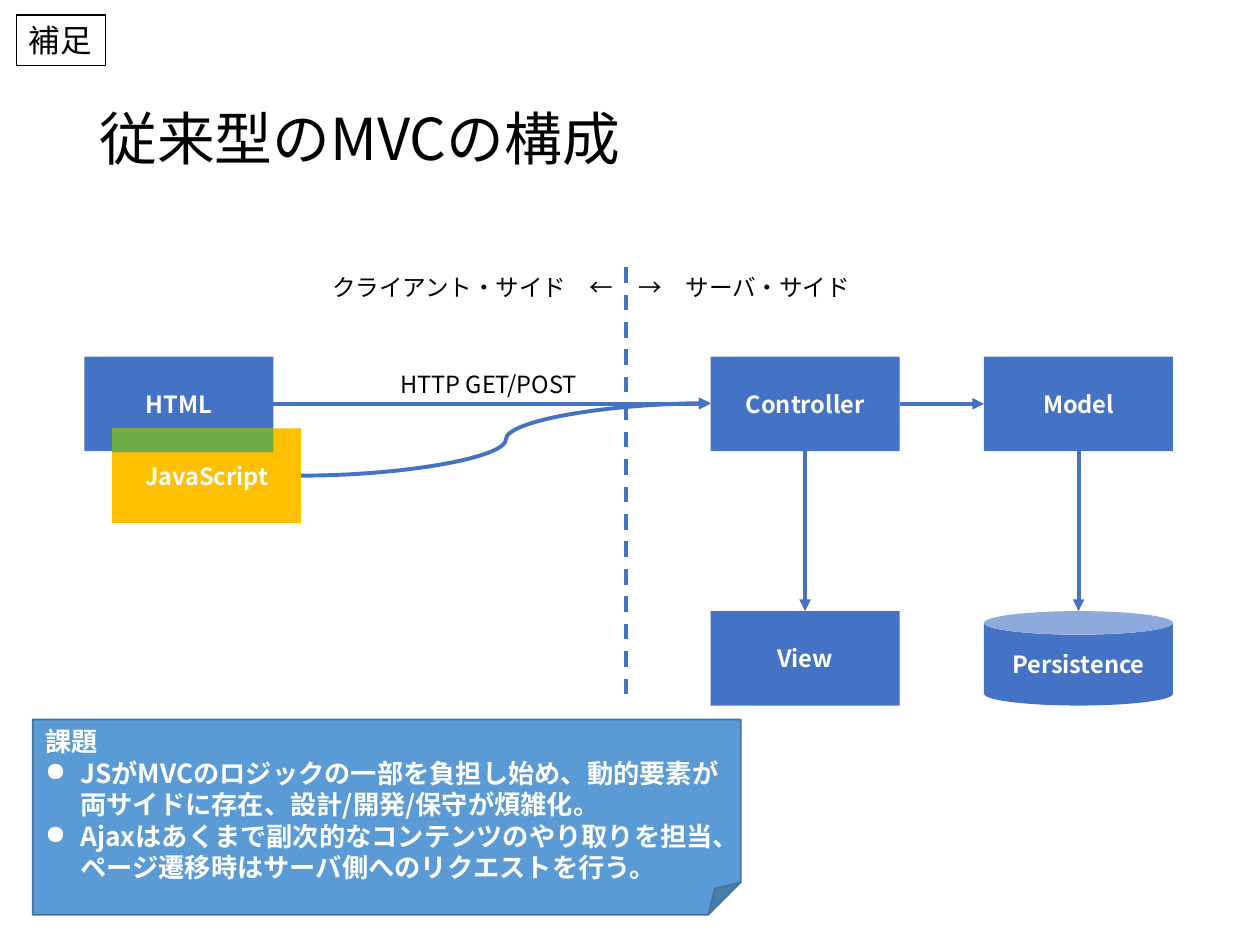
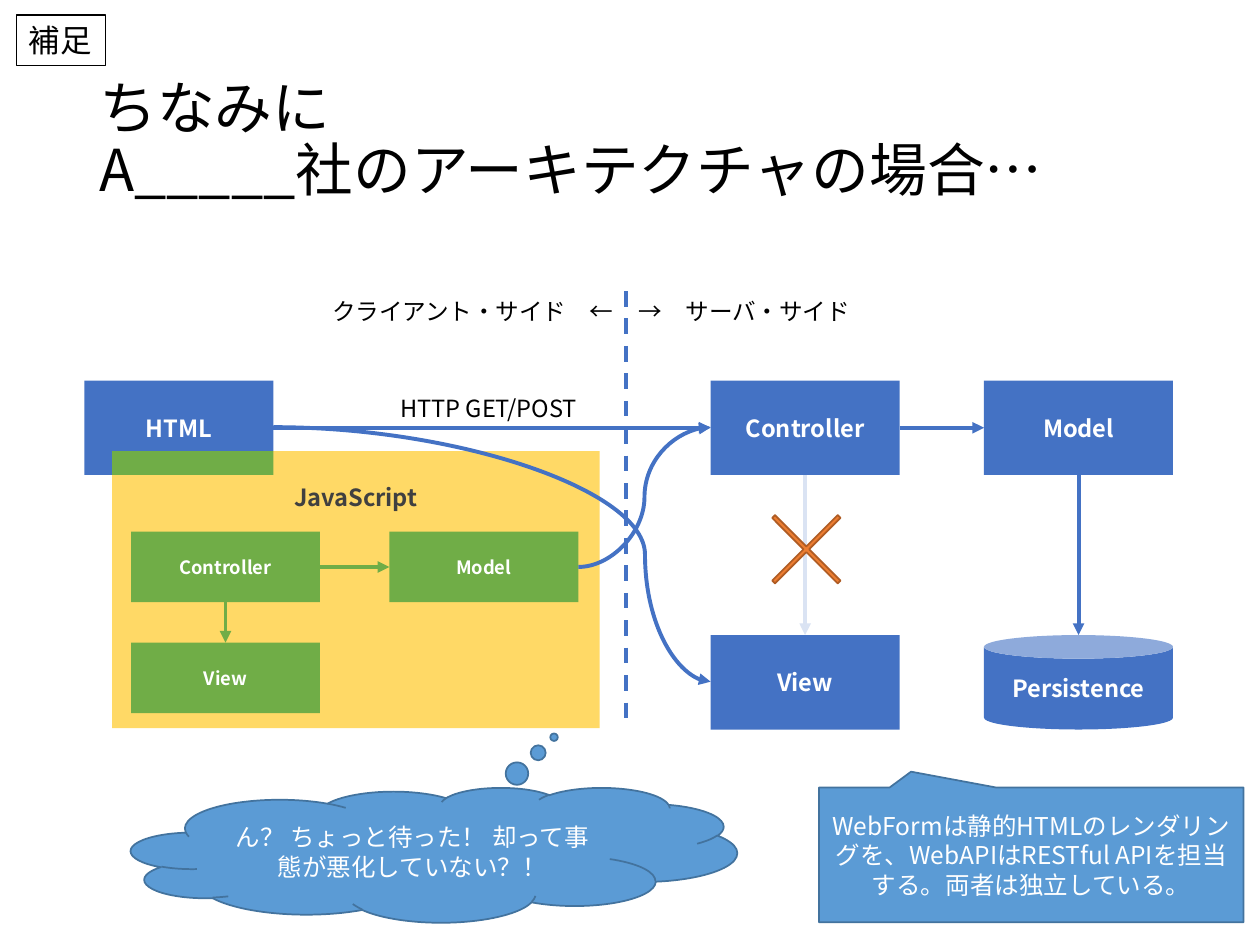
"""Build two slides comparing the classic MVC layout with a client-heavy variant."""
from lxml import etree
from pptx import Presentation
from pptx import util as u
from pptx.dml.color import RGBColor
from pptx.enum import dml, shapes, text
from pptx.oxml.ns import qn

FONT = "Noto Sans CJK JP"
BLACK, WHITE, GREY = "000000", "FFFFFF", "404040"
BLUE, PALE_BLUE, GREEN = "4472C4", "DAE3F3", "70AD47"
AMBER, PALE_AMBER, ORANGE, RUST = "FFC000", "FFD966", "ED7D31", "AF5C24"
NOTE, NOTE_EDGE = "5B9BD5", "43739E"
RECT = shapes.MSO_SHAPE.RECTANGLE
CENTER, LEFT = text.PP_ALIGN.CENTER, text.PP_ALIGN.LEFT
MIDDLE, TOP = text.MSO_ANCHOR.MIDDLE, text.MSO_ANCHOR.TOP

HTML_X, SCRIPT_X, CONTROLLER_X, MODEL_X = 0.67, 0.89, 5.64, 7.81
BOX_W, BOX_H = 1.5, 0.75
OVERLAP_W, OVERLAP_H = HTML_X + BOX_W - SCRIPT_X, 0.19
DIVIDER_X, DIVIDER_H = 4.97, 3.48
UPPER_ROW, LOWER_ROW = 0.71, 2.73


def add_box(slide, place, content="", kind=RECT, fill=None, edge=None, edge_width=1,
            size=13.5, color=WHITE, bold=True, align=CENTER, anchor=MIDDLE,
            wrap=True, bullets=False, adjust=()):
    place = [u.Inches(length) for length in place]
    if kind is None:
        shape = slide.shapes.add_textbox(*place)
    else:
        shape = slide.shapes.add_shape(kind, *place)
        shape.shadow.inherit = False
        if fill:
            shape.fill.solid()
            shape.fill.fore_color.rgb = RGBColor.from_string(fill)
        else:
            shape.fill.background()
        if edge:
            shape.line.color.rgb = RGBColor.from_string(edge)
            shape.line.width = u.Pt(edge_width)
        else:
            shape.line.fill.background()
    for index, value in enumerate(adjust):
        shape.adjustments[index] = value
    if not content:
        return shape
    frame = shape.text_frame
    frame.text = content
    frame.word_wrap = wrap
    frame.vertical_anchor = anchor
    for index, paragraph in enumerate(frame.paragraphs):
        paragraph.alignment = align
        properties = paragraph._p.get_or_add_pPr()
        if bullets and index:
            properties.set("marL", str(u.Inches(0.28)))
            properties.set("indent", str(u.Inches(-0.28)))
            etree.SubElement(properties, qn("a:buChar"), char="●")
        font = paragraph.font
        font.size, font.bold, font.name = u.Pt(size), bold, FONT
        font.color.rgb = RGBColor.from_string(color)
        etree.SubElement(properties.find(qn("a:defRPr")), qn("a:ea"), typeface=FONT)
    return shape


def add_line(slide, start, end, color=BLUE, arrow=True, bend=0.5):
    curved = min(abs(end[0] - start[0]), abs(end[1] - start[1])) > 0.1
    kind = shapes.MSO_CONNECTOR.CURVE if curved else shapes.MSO_CONNECTOR.STRAIGHT
    line = slide.shapes.add_connector(kind, *[u.Inches(length) for length in start + end])
    line.line.color.rgb = RGBColor.from_string(color)
    line.line.width = u.Pt(2.25)
    properties = line._element.spPr
    if curved:
        guides = properties.find(qn("a:prstGeom")).get_or_add_avLst()
        etree.SubElement(guides, qn("a:gd"), name="adj1", fmla=f"val {round(bend * 100000)}")
    if arrow:
        etree.SubElement(line.line._get_or_add_ln(), qn("a:tailEnd"), type="triangle")
    else:
        line.line.dash_style = dml.MSO_LINE.DASH
    etree.SubElement(properties, qn("a:effectLst"))


presentation = Presentation()
presentation.slide_width, presentation.slide_height = u.Inches(10), u.Inches(7.5)

slides = []
for title, top, view_arrow in (
    ("従来型のMVCの構成", 2.12, BLUE),
    ("ちなみに\vA_____社のアーキテクチャの場合…", 2.31, PALE_BLUE),
):
    slide = presentation.slides.add_slide(presentation.slide_layouts[6])
    slides.append(slide)
    upper, lower = top + UPPER_ROW, top + LOWER_ROW
    middle = upper + BOX_H / 2
    heading = add_box(slide, (0.69, 0.4, 8.62, 1.45), title, None, size=33,
                      color=BLACK, bold=False, align=LEFT)
    heading.text_frame.paragraphs[0].line_spacing = 0.9
    add_box(slide, (0.13, 0.12, 0.71, 0.4), "補足", edge=BLACK, edge_width=0.75, size=18,
            color=BLACK, bold=False, align=LEFT, anchor=TOP, wrap=False)
    add_line(slide, (DIVIDER_X, top), (DIVIDER_X, top + DIVIDER_H), arrow=False)
    for label, left, label_top, width in (
        ("→　サーバ・サイド", DIVIDER_X, top, 1.91),
        ("クライアント・サイド　←", 2.54, top, 2.47),
        ("HTTP GET/POST", 3.08, top + 0.77, 1.73),
    ):
        add_box(slide, (left, label_top, width, 0.33), label, None, color=BLACK,
                bold=False, align=LEFT, anchor=TOP, wrap=False)
    for label, left, row, kind in (
        ("HTML", HTML_X, upper, RECT),
        ("Controller", CONTROLLER_X, upper, RECT),
        ("Model", MODEL_X, upper, RECT),
        ("View", CONTROLLER_X, lower, RECT),
        ("Persistence", MODEL_X, lower, shapes.MSO_SHAPE.CAN),
    ):
        add_box(slide, (left, row, BOX_W, BOX_H), label, kind, BLUE)
    add_line(slide, (HTML_X + BOX_W, middle), (CONTROLLER_X, middle))
    add_line(slide, (CONTROLLER_X + BOX_W, middle), (MODEL_X, middle))
    for left, color in ((CONTROLLER_X, view_arrow), (MODEL_X, BLUE)):
        center = left + BOX_W / 2
        add_line(slide, (center, upper + BOX_H), (center, lower), color)

classic, variant = slides

script_top = 3.4
add_box(classic, (SCRIPT_X, script_top, BOX_W, BOX_H), "JavaScript", fill=AMBER)
add_box(classic, (SCRIPT_X, script_top, OVERLAP_W, OVERLAP_H), fill=GREEN)
add_line(classic, (SCRIPT_X + BOX_W, script_top + BOX_H / 2), (CONTROLLER_X, 3.2))
add_box(classic, (0.26, 5.71, 5.62, 1.55),
        "課題\n"
        "JSがMVCのロジックの一部を負担し始め、動的要素が両サイドに存在、設計/開発/保守が煩雑化。\n"
        "Ajaxはあくまで副次的なコンテンツのやり取りを担当、ページ遷移時はサーバ側へのリクエストを行う。",
        shapes.MSO_SHAPE.FOLDED_CORNER, NOTE, NOTE_EDGE, size=15, align=LEFT,
        anchor=TOP, bullets=True)

script_top = 3.58
add_box(variant, (5.9, 3.86, 1, 1), kind=shapes.MSO_SHAPE.MATH_MULTIPLY,
        fill=ORANGE, edge=RUST, adjust=(0.032,))
panel = add_box(variant, (SCRIPT_X, script_top, 3.87, 2.2), "JavaScript",
                fill=PALE_AMBER, color=GREY, anchor=TOP)
panel.text_frame.margin_top = u.Inches(0.25)
add_box(variant, (SCRIPT_X, script_top, OVERLAP_W, OVERLAP_H), fill=GREEN)

inner_x, inner_model_x, inner_top, inner_h, inner_view_top = 1.04, 3.09, 4.22, 0.56, 5.1
inner_middle = inner_top + inner_h / 2
for label, left, row in (
    ("Controller", inner_x, inner_top),
    ("Model", inner_model_x, inner_top),
    ("View", inner_x, inner_view_top),
):
    add_box(variant, (left, row, BOX_W, inner_h), label, fill=GREEN, size=10.5)
inner_center = inner_x + BOX_W / 2
add_line(variant, (inner_x + BOX_W, inner_middle), (inner_model_x, inner_middle), GREEN)
add_line(variant, (inner_center, inner_top + inner_h), (inner_center, inner_view_top), GREEN)
add_line(variant, (inner_model_x + BOX_W, inner_middle), (CONTROLLER_X, 3.39))
add_line(variant, (HTML_X + BOX_W, 3.39), (CONTROLLER_X, 5.41), bend=0.85)

for remark, left, width, kind, adjust in (
    ("ん？ ちょっと待った！ 却って事態が悪化していない？！", 1.04, 4.81,
     shapes.MSO_SHAPE.CLOUD_CALLOUT, (0.198, -0.873)),
    ("WebFormは静的HTMLのレンダリングを、WebAPIはRESTful APIを担当する。両者は独立している。",
     6.5, 3.37, shapes.MSO_SHAPE.RECTANGULAR_CALLOUT, (-0.283, -0.617)),
):
    add_box(variant, (left, 6.25, width, 1.07), remark, kind, NOTE, NOTE_EDGE,
            size=14, bold=False, adjust=adjust)

presentation.save("out.pptx")
